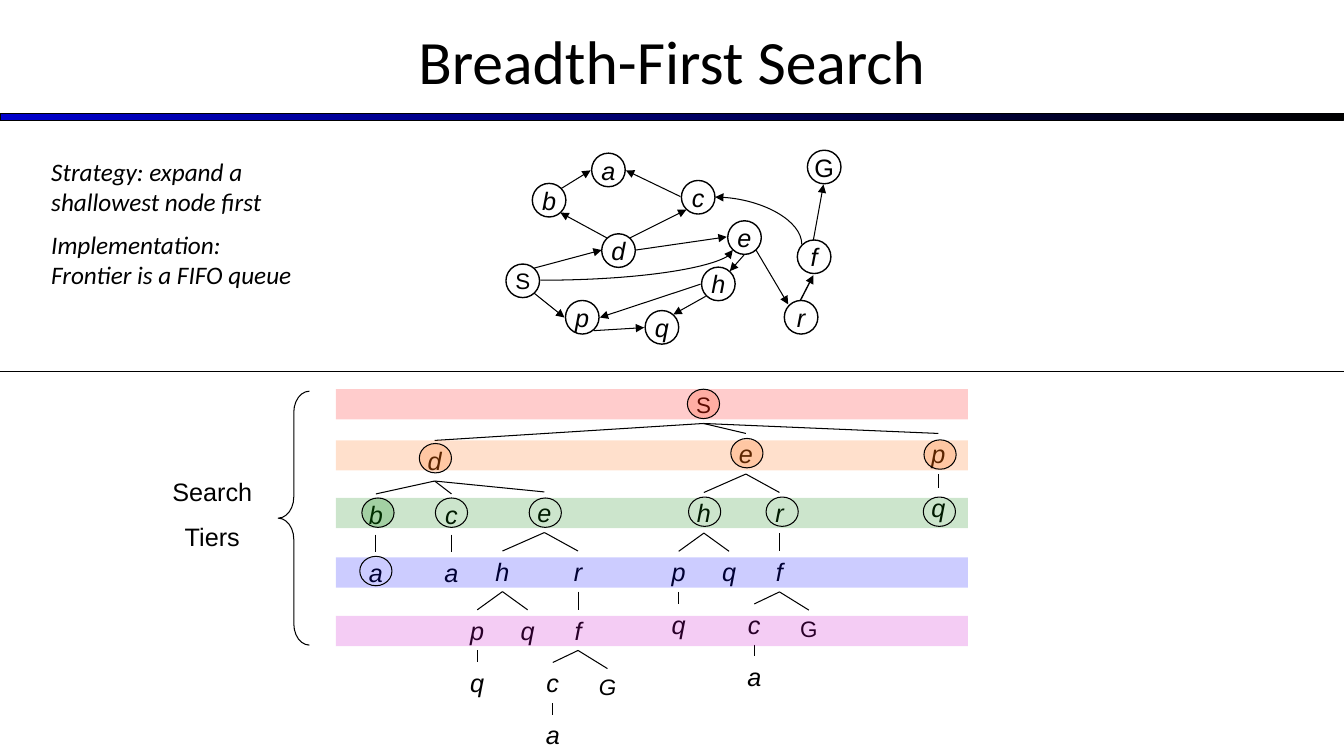
import dataclasses

import pptx
import pptx.dml.color
import pptx.enum.dml
import pptx.enum.shapes
import pptx.enum.text
import pptx.oxml
import pptx.oxml.ns
import pptx.util

Pt = pptx.util.Pt
SHAPE = pptx.enum.shapes.MSO_SHAPE
CONNECTOR = pptx.enum.shapes.MSO_CONNECTOR
ALIGN = pptx.enum.text.PP_ALIGN
ANCHOR = pptx.enum.text.MSO_ANCHOR
qn = pptx.oxml.ns.qn


@dataclasses.dataclass(frozen=True)
class Theme:
    ink: str = "000000"
    blue: str = "0000CC"
    red: str = "FF0000"
    ring_red: str = "FF3300"
    orange: str = "FF6600"
    green: str = "008000"
    tier_blue: str = "0000FF"
    purple: str = "CC00CC"
    heading_font: str = "Calibri"
    label_font: str = "Arial"
    title: int = 44
    body: int = 18
    small: int = 16
    thin: float = 0.75
    thick: float = 1
    tint: int = 20


T = Theme()
UPRIGHT = {"S", "G"}

TITLE = "Breadth-First Search"
STRATEGY = ["Strategy: expand a shallowest node first",
            "Implementation: Frontier is a FIFO queue"]
TIERS_LABEL = ["Search", "Tiers"]

# State graph: left and top of each node, then the arrows between them
GRAPH_NODES = {
    "S": (361.4, 188.6), "G": (576.7, 107.3), "d": (429.8, 167),
    "b": (380.2, 131), "p": (403.9, 214.6), "q": (460.8, 221.8),
    "c": (486.7, 128.9), "e": (519.8, 157.7), "h": (501.1, 190.8),
    "a": (422.6, 109.4), "f": (569.5, 171.4), "r": (560.2, 214.6),
}
GRAPH_ARROWS = {
    "S-p": (381.6, 209.5, 403.2, 226.8), "p-q": (424.1, 236.2, 460.1, 234),
    "h-q": (504, 211.7, 481, 224.6), "h-p": (500.4, 203, 428.4, 226.8),
    "e-h": (531.4, 182.2, 521.3, 193.7), "e-r": (540, 178.6, 563, 217.4),
    "r-f": (571.7, 214.6, 581, 196.6), "f-G": (581, 171.4, 588.2, 131.8),
    "S-d": (381.6, 191.5, 429.8, 178.6), "d-b": (433.4, 169.9, 400.3, 151.9),
    "b-a": (401, 134.6, 421.9, 121.7), "c-a": (486, 140.4, 447.1, 121.7),
    "d-c": (450, 169.9, 490.3, 149.8), "d-e": (454.3, 178.6, 519.1, 169.2),
}
# Ends before turning, then the turn in degrees
GRAPH_CURVES = {"f-c": (558.7, 126.7, 524.9, 188.6, 90),
                "S-e": (385.9, 200.2, 523.4, 178.6, 0)}

# Search tree: label, shift right and down from the parent, children
E_CHILDREN = [
    ("h", -30, 42.2, [("p", -18, 42, [("q", 0, 37.6, [])]),
                      ("q", 18, 42, [])]),
    ("r", 24, 42.2, [("f", 0, 42, [("c", -18, 37.6, [("a", 0, 37.2, [])]),
                                   ("G", 21, 42, [])])]),
]
TREE = ("S", 502.5, 276, [
    ("d", -192, 38.6, [("b", -42, 38.2, [("a", 0, 41.8, [])]),
                       ("c", 12, 38.2, [("a", 0, 41.8, [])]),
                       ("e", 78.4, 36.8, E_CHILDREN)]),
    ("e", 30.3, 33.6, E_CHILDREN),
    ("p", 167.8, 33.6, [("q", 0, 38.8, [])]),
])

TIERS = [(278, T.red), (314.5, T.orange), (355.7, T.green),
         (398.2, T.tier_blue), (439.9, T.purple)]
RINGS = [(491, 278, T.ring_red), (299.5, 316.8, T.orange),
         (522, 313.2, T.orange), (660, 314.2, T.orange),
         (258.5, 355.7, T.green), (311, 355.7, None), (378, 355.7, None),
         (491.8, 355, None), (547.2, 355, None), (659.5, 355, None),
         (257, 397.4, None)]


def rgb(value):
    return pptx.dml.color.RGBColor.from_string(value)


def write(tf, lines, size, font=T.label_font, italic=False,
          align=ALIGN.CENTER, gap=0, **frame):
    """Fill a text frame; gap is the space between paragraphs."""
    for name, value in frame.items():
        setattr(tf, name, value)
    fmt = {"size": Pt(size), "name": font, "italic": italic}
    for i, line in enumerate(lines):
        p = tf.paragraphs[0] if i == 0 else tf.add_paragraph()
        p.alignment = align
        p.space_before = Pt(gap if i else 0)
        r = p.add_run()
        r.text = line
        for name, value in fmt.items():
            setattr(r.font, name, value)
        r.font.color.rgb = rgb(T.ink)


def text_box(slide, box, lines, size, **fmt):
    sp = slide.shapes.add_textbox(*map(Pt, box))
    write(sp.text_frame, lines, size, word_wrap=True, **fmt)


def shape(slide, kind, box, fill=None, line=None):
    """Add a shape; fill is a tinted colour, line a width."""
    sp = slide.shapes.add_shape(kind, *map(Pt, box))
    sp.shadow.inherit = False
    if fill:
        sp.fill.solid()
        sp.fill.fore_color.rgb = rgb(fill)
        color = sp.fill._xPr.find(".//" + qn("a:srgbClr"))
        color.makeelement(qn("a:alpha"))
        pptx.oxml.ns  # namespace helpers
        alpha = color.makeelement(qn("a:alpha"), {"val": str(T.tint * 1000)})
        color.append(alpha)
    else:
        sp.fill.background()
    if line:
        sp.line.color.rgb = rgb(T.ink)
        sp.line.width = Pt(line)
    else:
        sp.line.fill.background()
    return sp


def connect(slide, ends, width=T.thin, arrow=False, kind=CONNECTOR.STRAIGHT):
    cn = slide.shapes.add_connector(kind, *map(Pt, ends))
    cn.line.color.rgb = rgb(T.ink)
    cn.line.width = Pt(width)
    if arrow:
        ln = cn.line._get_or_add_ln()
        ln.append(ln.makeelement(qn("a:tailEnd"), {"type": "triangle"}))
    sp_pr = cn._element.spPr
    sp_pr.append(sp_pr.makeelement(qn("a:effectLst")))
    return cn


def draw_heading(slide):
    bar = shape(slide, SHAPE.RECTANGLE, (0, 81, 960, 5), line=T.thin)
    bar.fill.gradient()
    bar.fill.gradient_angle = 0
    for stop, color in zip(bar.fill.gradient_stops, (T.blue, T.ink)):
        stop.color.rgb = rgb(color)
    title = slide.shapes.title
    box = {"left": 0, "top": -2, "width": 960, "height": 90}
    for name, value in box.items():
        setattr(title, name, Pt(value))
    write(title.text_frame, [TITLE], T.title, font=T.heading_font,
          vertical_anchor=ANCHOR.MIDDLE, word_wrap=True)


def draw_tree(slide, node, x=0, y=0, slanted_goal=False):
    """Draw a node and its descendants; return the node's top centre."""
    label, dx, dy, children = node
    x, y = x + dx, y + dy
    upright = label in UPRIGHT
    width, height = (60, 26.5) if upright else (30, 29)
    text_box(slide, (x - width / 2, y, width, height), [label],
             T.small if upright else T.body,
             italic=slanted_goal or not upright)
    for child in children:
        top = draw_tree(slide, child, x, y + 0,
                        slanted_goal or label == "d")
        connect(slide, (x, y + height, *top))
    return x, y


def draw_graph(slide):
    for label, (x, y) in GRAPH_NODES.items():
        sp = shape(slide, SHAPE.FLOWCHART_CONNECTOR, (x, y, 24, 24),
                   line=T.thick)
        write(sp.text_frame, [label], T.small if label == "S" else T.body,
              italic=label not in UPRIGHT, word_wrap=False,
              vertical_anchor=ANCHOR.MIDDLE)
    for name, ends in GRAPH_ARROWS.items():
        connect(slide, ends, T.thick if name == "r-f" else T.thin, arrow=True)
    for *ends, turn in GRAPH_CURVES.values():
        cn = connect(slide, ends, arrow=True, kind=CONNECTOR.CURVE)
        sp_pr = cn._element.spPr
        sp_pr.find(qn("a:prstGeom")).set("prst", "curvedConnector2")
        sp_pr.find(qn("a:xfrm")).set("rot", str(turn * 60000))


def draw_tiers(slide):
    for top, color in TIERS:
        shape(slide, SHAPE.RECTANGLE, (240, top, 451.4, 21.6), fill=color)
    brace = shape(slide, SHAPE.LEFT_BRACE, (198.7, 279.4, 22.3, 181.4),
                  line=T.thin)
    brace.adjustments[0] = 0.68
    text_box(slide, (113.8, 337, 75.6, 62), TIERS_LABEL, T.body, gap=10)
    for x, y, color in RINGS:
        shape(slide, SHAPE.OVAL, (x, y, 23, 21), fill=color, line=T.thin)


def main():
    prs = pptx.Presentation()
    prs.slide_width, prs.slide_height = Pt(960), Pt(540)
    slide = prs.slides.add_slide(prs.slide_layouts[5])
    draw_heading(slide)
    draw_tree(slide, TREE)
    draw_graph(slide)
    draw_tiers(slide)
    connect(slide, (0, 265.5, 960, 265.5))
    text_box(slide, (29.5, 108, 187, 105), STRATEGY, T.body,
             font=T.heading_font, italic=True, align=ALIGN.LEFT, gap=9)
    prs.save("out.pptx")


if __name__ == "__main__":
    main()
